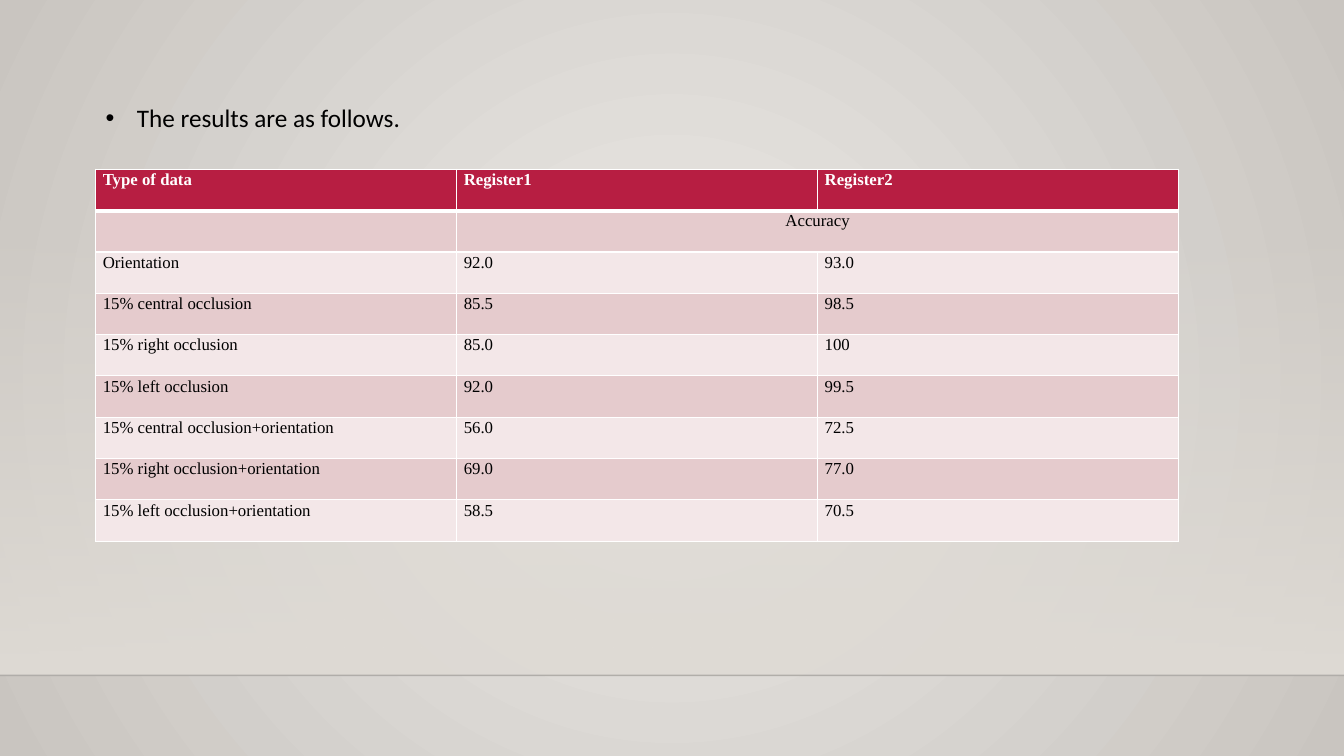
from pptx import Presentation
from pptx.dml.color import RGBColor
from pptx.enum.shapes import MSO_CONNECTOR as Conn, MSO_SHAPE as Shape
from pptx.enum.text import PP_ALIGN as Align
from pptx.oxml import parse_xml
from pptx.oxml.ns import nsdecls, qn
from pptx.util import Inches, Pt
from lxml.etree import SubElement as Sub

BLACK = RGBColor(0x00, 0x00, 0x00)
WHITE = RGBColor(0xFF, 0xFF, 0xFF)
RED = RGBColor(0xB7, 0x1E, 0x42)
ROSE = RGBColor(0xE5, 0xCB, 0xCD)
PALE = RGBColor(0xF3, 0xE7, 0xE8)
LIGHT = RGBColor(0xEB, 0xE9, 0xE6)
GREY = RGBColor(0xC9, 0xC5, 0xC0)
SAND = RGBColor(0xDF, 0xDB, 0xD5)
INK = RGBColor(0x00, 0x00, 0x01)

ROWS = [
    ("Type of data", "Register1", "Register2"),
    ("", "Accuracy", ""),
    ("Orientation", "92.0", "93.0"),
    ("15% central occlusion", "85.5", "98.5"),
    ("15% right occlusion", "85.0", "100"),
    ("15% left occlusion", "92.0", "99.5"),
    ("15% central occlusion+orientation", "56.0", "72.5"),
    ("15% right occlusion+orientation", "69.0", "77.0"),
    ("15% left occlusion+orientation", "58.5", "70.5"),
]


def write(frame, text, font="Calibri", size=18, color=BLACK, bold=False,
          align=None, space=None, indent=None):
    para = frame.paragraphs[0]
    para.alignment = align
    para.line_spacing = space
    run = para.add_run()
    run.text = text
    run.font.name = font
    run.font.size = Pt(size)
    run.font.bold = bold
    run.font.color.rgb = color
    if indent:
        props = para._p.get_or_add_pPr()
        props.set("marL", str(Inches(indent)))
        props.set("indent", str(-Inches(indent)))
        Sub(props, qn("a:buFont"), typeface="Arial")
        Sub(props, qn("a:buChar"), char="•")


def fade(node, share):
    for color in node.iter(qn("a:srgbClr")):
        Sub(color, qn("a:alpha"), val=str(share * 1000))


class Page:
    def __init__(self, deck):
        self.slide = deck.slides.add_slide(deck.slide_layouts[6])
        self.shapes = self.slide.shapes
        self.wide = deck.slide_width

    def blend(self, fill, first, last):
        fill.gradient()
        for stop, color, place in zip(fill.gradient_stops, (first, last), (0, 1)):
            stop.color.rgb = color
            stop.position = place

    def back(self, inner, outer):
        self.blend(self.slide.background.fill, inner, outer)
        grad = self.slide.element.find(".//" + qn("a:gradFill"))
        grad.replace(grad.find(qn("a:lin")), parse_xml(
            f'<a:path {nsdecls("a")} path="circle">'
            '<a:fillToRect l="50000" t="50000" r="50000" b="50000"/></a:path>'))

    def band(self, top, high, color):
        band = self.shapes.add_shape(Shape.RECTANGLE, 0, Inches(top), self.wide, Inches(high))
        band.shadow.inherit = False
        band.line.fill.background()
        self.blend(band.fill, color, color)
        band.fill.gradient_angle = 270
        fade(band._element.find(".//" + qn("a:gs")), 0)

    def rule(self, top, color, share):
        rule = self.shapes.add_connector(Conn.STRAIGHT, 0, Inches(top), self.wide, Inches(top))
        rule.line.color.rgb = color
        rule.line.width = Pt(1)
        props = rule._element.spPr
        fade(props, share)
        Sub(props, qn("a:effectLst"))

    def note(self, text, left, top, wide, high):
        box = self.shapes.add_textbox(*map(Inches, (left, top, wide, high)))
        box.text_frame.word_wrap = True
        write(box.text_frame, text, indent=0.31)

    def edge(self, cell, **sides):
        props = cell._tc.get_or_add_tcPr()
        for spot, side in enumerate("LRTB"):
            props.insert(spot, parse_xml(
                f'<a:ln{side} {nsdecls("a")} w="{Pt(sides.get(side, 1))}">'
                f'<a:solidFill><a:srgbClr val="{WHITE}"/></a:solidFill></a:ln{side}>'))

    def table(self, rows, left, top, wide, high):
        count = len(rows[0])
        table = self.shapes.add_table(
            len(rows), count, Inches(left), Inches(top),
            Inches(wide * count), Inches(high * len(rows))).table
        for col in table.columns:
            col.width = Inches(wide)
        for r, row in enumerate(rows):
            table.rows[r].height = Inches(high)
            for c, text in enumerate(row):
                cell = table.cell(r, c)
                cell.margin_left = cell.margin_right = Inches(0.07)
                cell.margin_top = cell.margin_bottom = 0
                cell.fill.solid()
                cell.fill.fore_color.rgb = RED if r == 0 else ROSE if r % 2 else PALE
                self.edge(cell, T=3 if r == 1 else 1, B=3 if r == 0 else 1)
                if text:
                    write(cell.text_frame, text, font="Times New Roman", size=12,
                          color=WHITE if r == 0 else BLACK, bold=r == 0, space=1.07,
                          align=Align.CENTER if r == 1 else None)
        table.cell(1, 1).merge(table.cell(1, 2))


def main():
    deck = Presentation()
    deck.slide_width = Inches(13.33)
    deck.slide_height = Inches(7.5)
    page = Page(deck)
    page.back(LIGHT, GREY)
    page.band(2.21, 4.49, SAND)
    page.rule(6.7, INK, 20)
    page.table(ROWS, 0.95, 1.68, 3.58, 0.41)
    page.note("The results are as follows.", 0.95, 0.97, 3.24, 0.4)
    deck.save("out.pptx")


if __name__ == "__main__":
    main()
